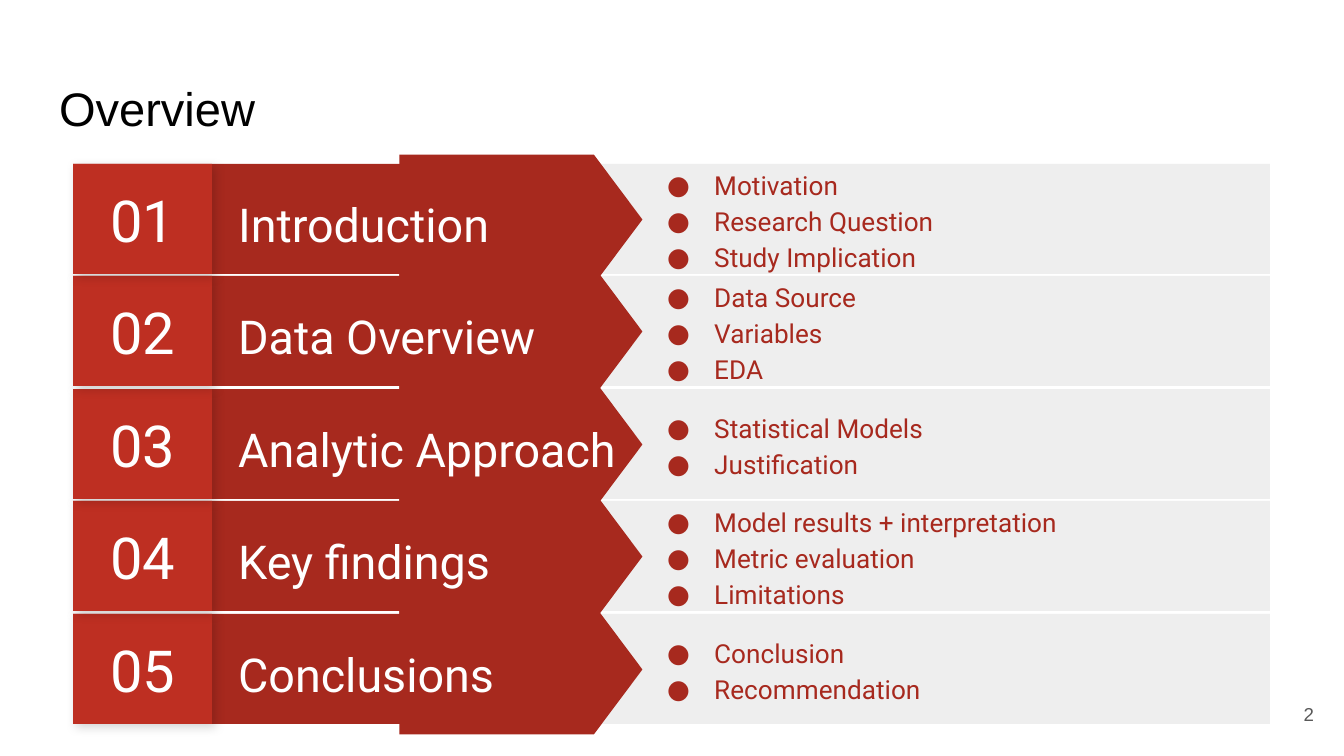
"""Build an overview slide with five numbered agenda rows."""
from lxml.etree import SubElement
from pptx import Presentation
from pptx.dml.color import RGBColor
from pptx.enum.shapes import MSO_SHAPE
from pptx.enum.text import MSO_ANCHOR, PP_ALIGN
from pptx.oxml.ns import qn
from pptx.util import Emu, Pt

COLORS = {"panel": "EEEEEE", "band": "A7291E", "shade": "B02B20", "number": "BE2F22",
          "white": "FFFFFF", "black": "000000", "gray": "595959"}
ROWS = [
    ("Introduction", ["Motivation", "Research Question", "Study Implication"]),
    ("Data Overview", ["Data Source", "Variables", "EDA"]),
    ("Analytic Approach", ["Statistical Models", "Justification"]),
    ("Key findings", ["Model results + interpretation", "Metric evaluation", "Limitations"]),
    ("Conclusions", ["Conclusion", "Recommendation"]),
]
PX = 9144000 / 1344
FIRST_TOP, PITCH, HEIGHT = 164, 112.5, 110


def add_block(shapes, kind, color, left, top, width, height):
    block = shapes.add_shape(kind, *[Emu(round(n * PX)) for n in (left, top, width, height)])
    block.shadow.inherit = False
    block.fill.solid()
    block.fill.fore_color.rgb = RGBColor.from_string(COLORS[color])
    block.line.fill.background()
    return block


def write(box, lines, size, color, font="Roboto", align=PP_ALIGN.LEFT,
          anchor=MSO_ANCHOR.MIDDLE, spacing=None, bullets=False):
    frame = box.text_frame
    frame.word_wrap = True
    frame.vertical_anchor = anchor
    frame.margin_left = frame.margin_right = Emu(91440)
    frame.margin_top = frame.margin_bottom = Emu(91440)
    for index, line in enumerate(lines):
        para = frame.add_paragraph() if index else frame.paragraphs[0]
        para.alignment = align
        if spacing:
            para.line_spacing = spacing
        if bullets:
            properties = para._p.get_or_add_pPr()
            properties.set("marL", str(round(67 * PX)))
            properties.set("indent", str(round(-47 * PX)))
            bullet_color = SubElement(properties, qn("a:buClr"))
            SubElement(bullet_color, qn("a:srgbClr"), val=COLORS[color])
            SubElement(properties, qn("a:buFont"), typeface=font)
            SubElement(properties, qn("a:buChar"), char="●")
        span = para.add_run()
        span.text = line
        span.font.size = Pt(size)
        span.font.name = font
        span.font.color.rgb = RGBColor.from_string(COLORS[color])


deck = Presentation()
deck.slide_width = Emu(round(1344 * PX))
deck.slide_height = Emu(round(756 * PX))
page = deck.slides.add_slide(deck.slide_layouts[6])

title = page.shapes.add_textbox(*[Emu(round(n * PX)) for n in (46, 66, 1253, 85)])
write(title, ["Overview"], 25.2, "black", font="Arial", anchor=MSO_ANCHOR.TOP)

for row, (heading, topics) in reversed(list(enumerate(ROWS))):
    top = FIRST_TOP + int(row * PITCH)
    shapes = page.shapes.add_group_shape().shapes
    add_block(shapes, MSO_SHAPE.RECTANGLE, "panel", 503, top, 767, HEIGHT)
    add_block(shapes, MSO_SHAPE.RECTANGLE, "band", 212, top, 371, HEIGHT)
    arrow = add_block(shapes, MSO_SHAPE.FLOWCHART_OFFPAGE_CONNECTOR, "band",
                      456, top - 66, 130, 243)
    arrow.rotation = 270

    label = shapes.add_textbox(*[Emu(round(n * PX)) for n in (225, top + 13, 423, 85)])
    write(label, [heading], 25, "white", spacing=1.15)

    shade = add_block(shapes, MSO_SHAPE.RECTANGLE, "shade", 73, top, 139, HEIGHT)
    effects = shade._element.spPr.find(qn("a:effectLst"))
    shadow = SubElement(effects, qn("a:outerShdw"), blurRad=str(Pt(5.6)), dist=str(Pt(2.2)),
                        dir="2700000", algn="tl", rotWithShape="0")
    shadow_color = SubElement(shadow, qn("a:srgbClr"), val=COLORS["black"])
    SubElement(shadow_color, qn("a:alpha"), val="17000")

    number = add_block(shapes, MSO_SHAPE.RECTANGLE, "number", 73, top, 139, HEIGHT)
    write(number, [f"{row + 1:02}"], 31, "white", align=PP_ALIGN.CENTER)

    details = shapes.add_textbox(*[Emu(round(n * PX)) for n in (634, top, 597, HEIGHT)])
    write(details, topics, 14, "band", spacing=1.15, bullets=True)

page_number = page.shapes.add_textbox(*[Emu(round(n * PX)) for n in (1246, 685, 81, 58)])
write(page_number, ["2"], 10, "gray", font="Arial", align=PP_ALIGN.RIGHT)

deck.save("out.pptx")
